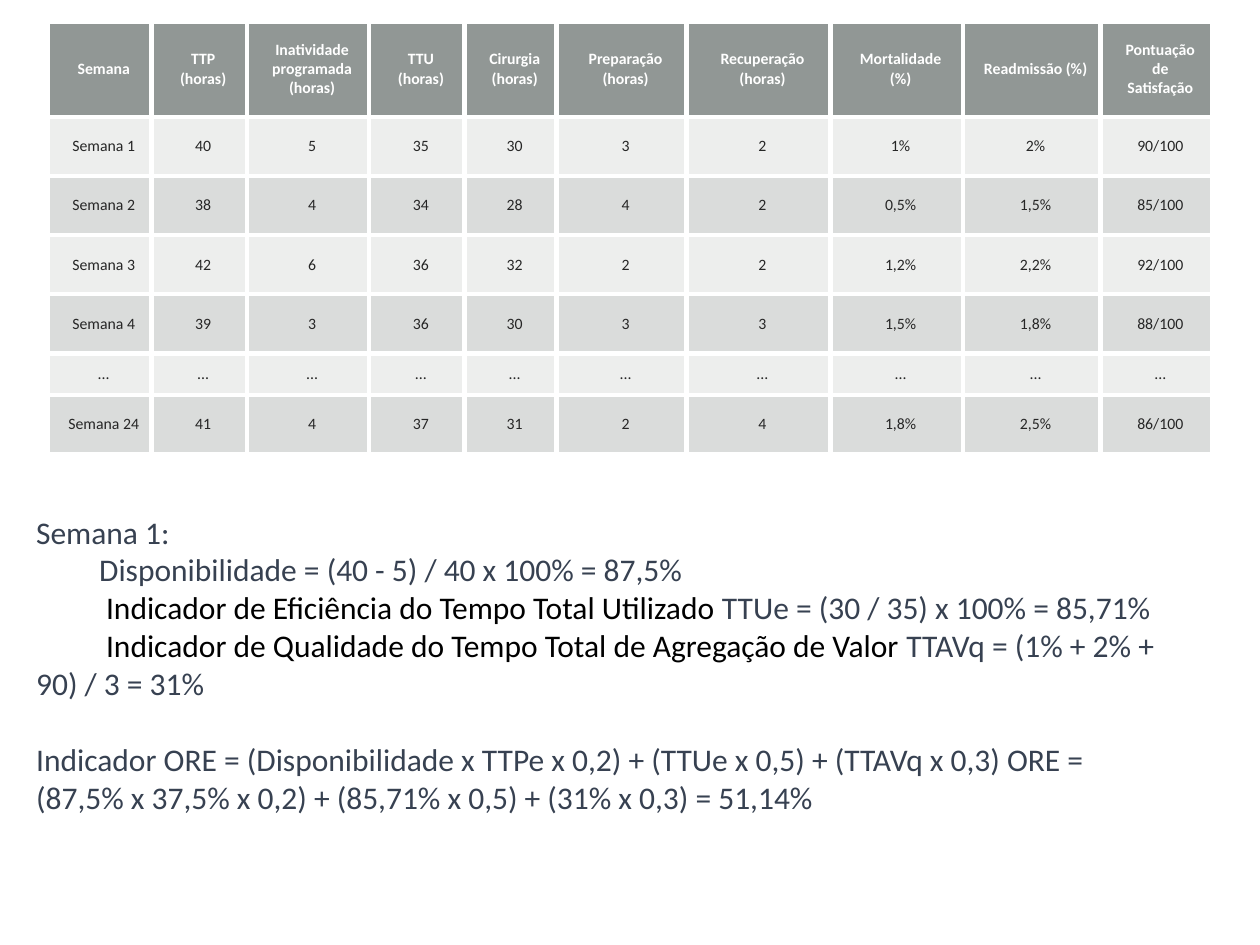
import pptx
import pptx.util
import pptx.dml.color
import pptx.enum.text
import pptx.oxml
import pptx.oxml.ns
from pptx.util import Cm


def color(value):
    return pptx.dml.color.RGBColor.from_string(value)


def add_text(p, text, size=18, fill="374151", bold=False):
    r = p.add_run()
    r.text = text
    r.font.name = "Calibri"
    r.font.size = pptx.util.Pt(size)
    r.font.bold = bold
    r.font.color.rgb = color(fill)


prs = pptx.Presentation()
prs.slide_width, prs.slide_height = Cm(25.4), Cm(19.05)
s = prs.slides.add_slide(prs.slide_layouts[6])

rows = [
    ["Semana", "TTP (horas)", "Inatividade programada (horas)", "TTU (horas)", "Cirurgia (horas)",
     "Preparação (horas)", "Recuperação (horas)", "Mortalidade (%)", "Readmissão (%)",
     "Pontuação de Satisfação"],
    ["Semana 1", "40", "5", "35", "30", "3", "2", "1%", "2%", "90/100"],
    ["Semana 2", "38", "4", "34", "28", "4", "2", "0,5%", "1,5%", "85/100"],
    ["Semana 3", "42", "6", "36", "32", "2", "2", "1,2%", "2,2%", "92/100"],
    ["Semana 4", "39", "3", "36", "30", "3", "3", "1,5%", "1,8%", "88/100"],
    ["..."] * 10,
    ["Semana 24", "41", "4", "37", "31", "2", "4", "1,8%", "2,5%", "86/100"],
]
widths = [2.08, 1.93, 2.46, 1.93, 1.85, 2.62, 2.9, 2.67, 2.77, 2.26]
heights = [1.93, 1.19, 1.19, 1.19, 1.19, 0.84, 1.19]
ns = pptx.oxml.ns.nsdecls("a")

table = s.shapes.add_table(len(rows), len(widths), Cm(0.97), Cm(0.43),
                           Cm(sum(widths)), Cm(sum(heights))).table
table.horz_banding = False
for column, width in zip(table.columns, widths):
    column.width = Cm(width)
for i, (values, height) in enumerate(zip(rows, heights)):
    table.rows[i].height = Cm(height)
    header = i == 0
    alpha = 70 if header else 15 if i % 2 else 30
    for j, value in enumerate(values):
        cell = table.cell(i, j)
        cell.margin_left = Cm(0.36)
        cell.margin_right = cell.margin_top = cell.margin_bottom = Cm(0.2)
        cell.vertical_anchor = pptx.enum.text.MSO_ANCHOR.MIDDLE
        p = cell.text_frame.paragraphs[0]
        p.alignment = pptx.enum.text.PP_ALIGN.CENTER
        add_text(p, value, size=9, fill="FFFFFF" if header else "262626", bold=header)
        cell.fill.solid()
        cell.fill.fore_color.rgb = color("636B68" if header else "878E8B")
        tcPr = cell._tc.get_or_add_tcPr()
        tcPr.find(".//" + pptx.oxml.ns.qn("a:srgbClr")).append(
            pptx.oxml.parse_xml(f'<a:alpha {ns} val="{alpha * 1000}"/>'))
        for k, side in enumerate("LRTB"):
            tcPr.insert(k, pptx.oxml.parse_xml(
                f'<a:ln{side} {ns} w="38100"><a:solidFill><a:srgbClr val="FFFFFF"/>'
                f'</a:solidFill></a:ln{side}>'))

lines = [
    (0, 0, [("Semana 1:", "374151")]),
    (1.27, 0, [("Disponibilidade = (40 - 5) / 40 x 100% = 87,5%", "374151")]),
    (1.41, 0, [("Indicador de Eficiência do Tempo Total Utilizado ", "000000"),
               ("TTUe = (30 / 35) x 100% = 85,71%", "374151")]),
    (1.41, 0, [("Indicador de Qualidade do Tempo Total de Agregação de Valor ", "000000"),
               ("TTAVq = (1% + 2% + 90) / 3 = 31%", "374151")]),
    (0, 22, [("Indicador ORE = (Disponibilidade x TTPe x 0,2) + (TTUe x 0,5) + (TTAVq x 0,3) "
              "ORE = (87,5% x 37,5% x 0,2) + (85,71% x 0,5) + (31% x 0,3) = 51,14%", "374151")]),
]
tf = s.shapes.add_textbox(Cm(0.48), Cm(10.21), Cm(23.47), Cm(6.4)).text_frame
tf.word_wrap = True
for i, (indent, before, runs) in enumerate(lines):
    p = tf.add_paragraph() if i else tf.paragraphs[0]
    p.space_before = pptx.util.Pt(before)
    pPr = p._p.get_or_add_pPr()
    pPr.set("marL", "0")
    pPr.set("indent", str(Cm(indent)))
    for text, fill in runs:
        add_text(p, text, fill=fill)

prs.save("out.pptx")
